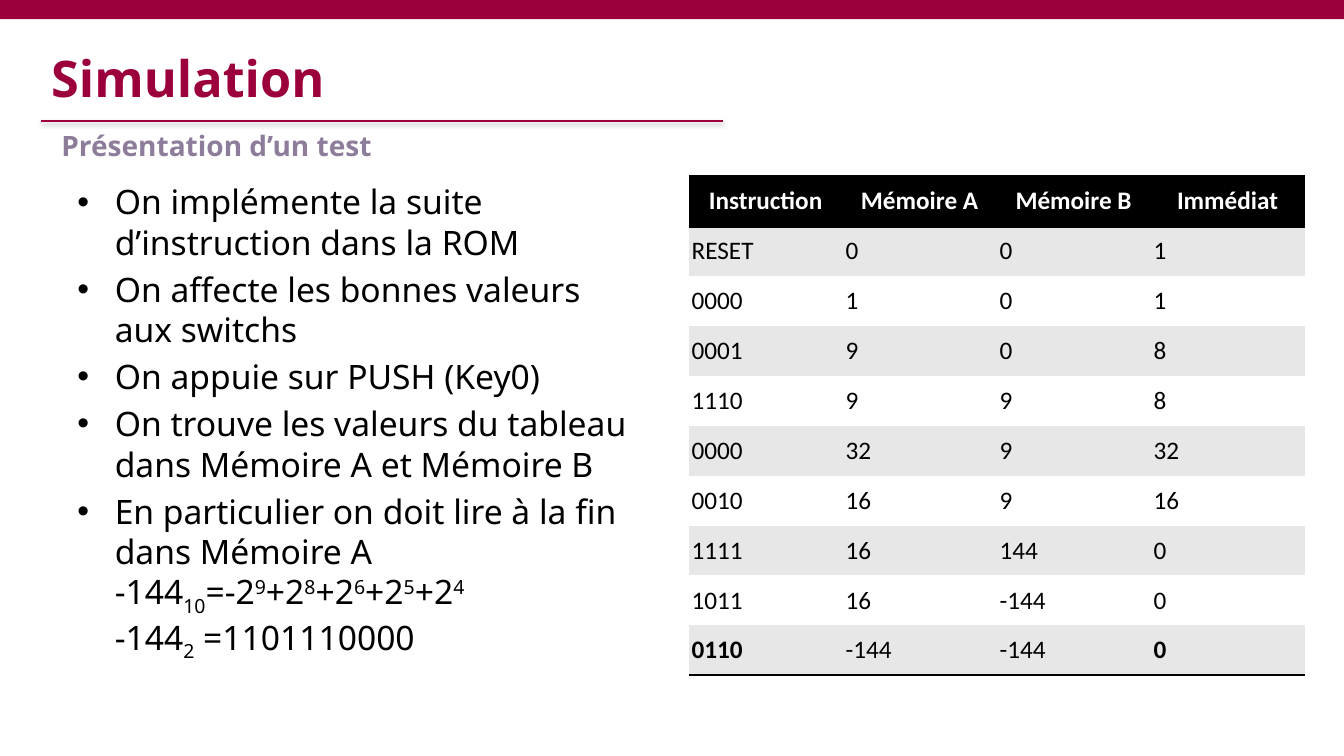
from lxml.etree import SubElement
from pptx import Presentation
from pptx.dml.color import RGBColor
from pptx.enum.shapes import MSO_CONNECTOR, MSO_SHAPE
from pptx.enum.text import MSO_ANCHOR, PP_ALIGN
from pptx.oxml import parse_xml
from pptx.oxml.ns import nsdecls, qn
from pptx.util import Inches, Pt

RED, MAUVE, BLACK, WHITE, GREY = "9C003C", "8D7D9B", "000000", "FFFFFF", "E7E7E7"


def color(code):
    return RGBColor.from_string(code)


def style(par, face, size, code, bold=False):
    for run in par.runs:
        font = run.font
        font.name, font.size, font.bold = face, Pt(size), bold
        font.color.rgb = color(code)


deck = Presentation()
deck.slide_width, deck.slide_height = Inches(13.33), Inches(7.5)
slide = deck.slides.add_slide(deck.slide_layouts[6])
shapes = slide.shapes

# Top band
band = shapes.add_shape(MSO_SHAPE.RECTANGLE, 0, 0, deck.slide_width, Inches(0.19))
band.shadow.inherit = False
band.fill.solid()
band.fill.fore_color.rgb = color(RED)
band.line.fill.background()

# Rule under the title, with a soft shadow
rule = shapes.add_connector(MSO_CONNECTOR.STRAIGHT, Inches(0.41), Inches(1.2),
                            Inches(7.17), Inches(1.2))
rule.line.color.rgb = color(RED)
rule.line.width = Pt(1)
rule._element.spPr.append(parse_xml(
    f'<a:effectLst {nsdecls("a")}><a:outerShdw blurRad="{Pt(3.1)}" dist="{Pt(1.6)}" '
    f'dir="5400000" rotWithShape="0"><a:srgbClr val="{BLACK}"><a:alpha val="38000"/>'
    '</a:srgbClr></a:outerShdw></a:effectLst>'))

# Title and subtitle
heads = [
    ("Simulation", (0.41, 0.34, 12.92, 0.85), 36, RED, MSO_ANCHOR.MIDDLE),
    ("Présentation d’un test", (0.51, 1.23, 7.45, 0.41), 20, MAUVE, MSO_ANCHOR.TOP),
]
for text, place, size, code, anchor in heads:
    frame = shapes.add_textbox(*map(Inches, place)).text_frame
    frame.word_wrap = True
    frame.vertical_anchor = anchor
    frame.text = text
    style(frame.paragraphs[0], "Noto Sans", size, code, True)

# Bullet list
points = [
    "On implémente la suite d’instruction dans la ROM",
    "On affecte les bonnes valeurs aux switchs",
    "On appuie sur PUSH (Key0)",
    "On trouve les valeurs du tableau dans Mémoire A et Mémoire B",
    "En particulier on doit lire à la fin dans Mémoire A",
]
SUB, SUP = -25, 30
sums = [
    [("-144", 0), ("10", SUB), ("=-2", 0), ("9", SUP), ("+2", 0), ("8", SUP),
     ("+2", 0), ("6", SUP), ("+2", 0), ("5", SUP), ("+2", 0), ("4", SUP)],
    [("-144", 0), ("2", SUB), (" =1101110000", 0)],
]
frame = shapes.add_textbox(Inches(0.67), Inches(1.75), Inches(5.83), Inches(4.95)).text_frame
frame.word_wrap = True
frame.text = "\n".join(points)
last = frame.paragraphs[-1]
for line in sums:
    last.add_line_break()
    for text, shift in line:
        run = last.add_run()
        run.text = text
        if shift:
            run.font._element.set("baseline", str(shift * 1000))
for par in frame.paragraphs:
    style(par, "Noto Sans", 24, BLACK)
    par.space_before = Pt(4.8)
    props = par._p.get_or_add_pPr()
    props.set("marL", str(Inches(0.37)))
    props.set("indent", str(-Inches(0.37)))
    SubElement(props, qn("a:buFont"), typeface="Arial")
    SubElement(props, qn("a:buChar"), char="•")

# Table of the test run
rows = [
    ("Instruction", "Mémoire A", "Mémoire B", "Immédiat"),
    ("RESET", "0", "0", "1"),
    ("0000", "1", "0", "1"),
    ("0001", "9", "0", "8"),
    ("1110", "9", "9", "8"),
    ("0000", "32", "9", "32"),
    ("0010", "16", "9", "16"),
    ("1111", "16", "144", "0"),
    ("1011", "16", "-144", "0"),
    ("0110", "-144", "-144", "0"),
]
end = len(rows) - 1
grid = shapes.add_table(len(rows), 4, Inches(6.83), Inches(1.75),
                        Inches(6.11), Inches(4.95)).table
grid.horz_banding = False
for r, row in enumerate(rows):
    for c, text in enumerate(row):
        cell = grid.cell(r, c)
        cell.text = text
        cell.vertical_anchor = MSO_ANCHOR.MIDDLE
        cell.margin_left = cell.margin_right = Inches(0.03)
        cell.margin_top = cell.margin_bottom = Inches(0.02)
        par = cell.text_frame.paragraphs[0]
        par.alignment = PP_ALIGN.LEFT if r else PP_ALIGN.CENTER
        bold = r == 0 or (r == end and c in (0, 3))
        style(par, "Calibri", 18, BLACK if r else WHITE, bold)

        # Borders come before the fill in the cell properties
        edges = {0: ("lnT", "lnB"), 1: ("lnT",), end: ("lnB",)}.get(r, ())
        props = cell._tc.get_or_add_tcPr()
        for side in ("lnL", "lnR", "lnT", "lnB"):
            edge = SubElement(props, qn(f"a:{side}"), w=str(Pt(2)))
            if side in edges:
                ink = SubElement(edge, qn("a:solidFill"))
                SubElement(ink, qn("a:srgbClr"), val=BLACK)
            else:
                SubElement(edge, qn("a:noFill"))
        cell.fill.solid()
        cell.fill.fore_color.rgb = color(BLACK if r == 0 else GREY if r % 2 else WHITE)

deck.save("out.pptx")
